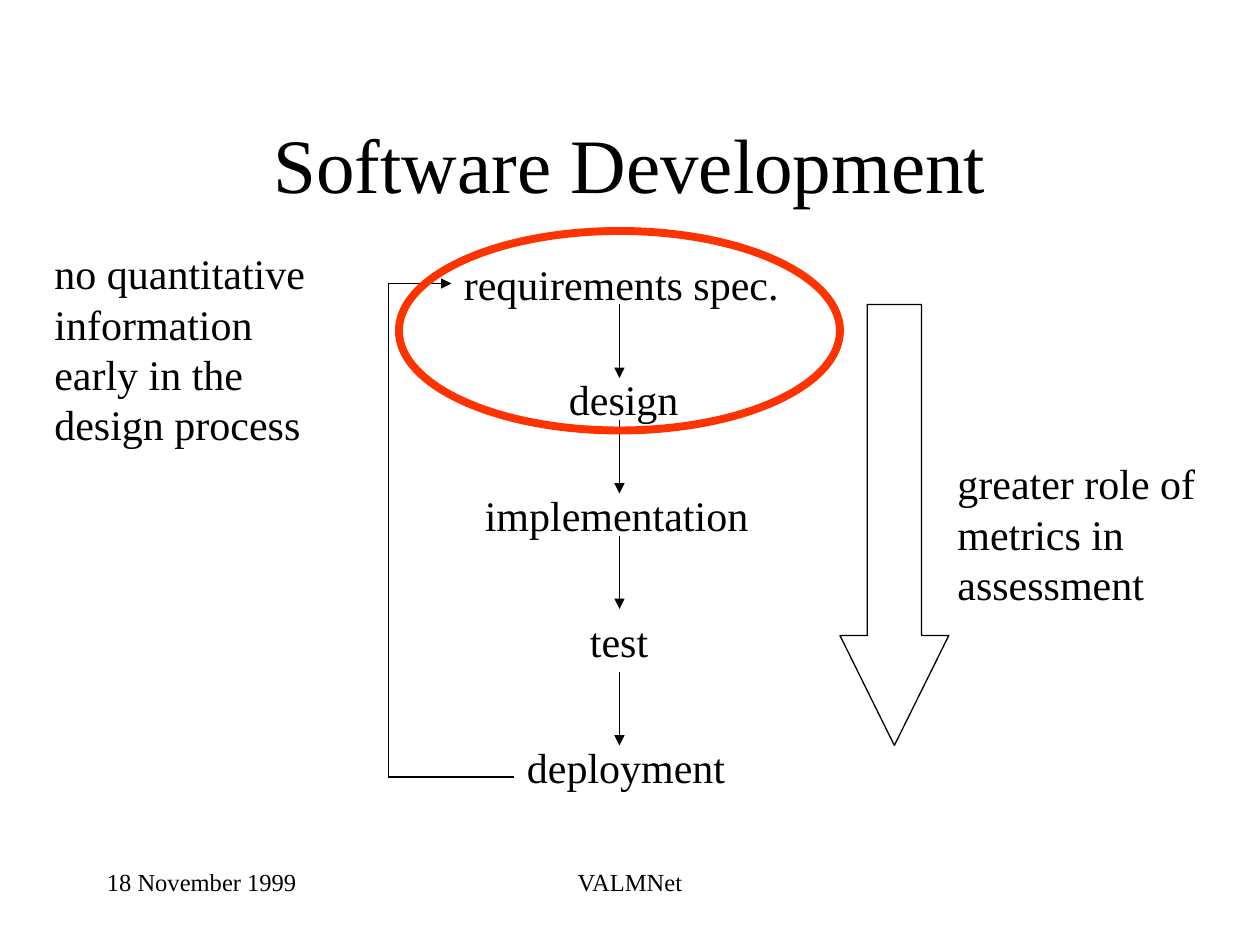
from lxml.etree import SubElement
from pptx import Presentation
from pptx.dml.color import RGBColor
from pptx.enum.shapes import MSO_CONNECTOR as Connector, MSO_SHAPE as Shape
from pptx.enum.text import MSO_ANCHOR as Anchor, PP_ALIGN as Align
from pptx.oxml.ns import qn
from pptx.util import Inches, Pt

# Content; all places are in grid units, twelve to the inch
COLORS = {"ink": "000000", "highlight": "FF3300"}
FONT = "Times New Roman"
TITLE = "Software Development"
TITLE_AREA = (9, 8, 102, 15)

STEPS = [  # text, top, width
    ("requirements spec.", 24, 33),
    ("design", 35, 14),
    ("implementation", 46, 29),
    ("test", 58, 9),
    ("deployment", 70, 22),
]
STEP_LEFTS = [43, 53, 45, 55, 49]
STEP_HEIGHT = 6
NOTES = [  # text, area
    ("no quantitative information early in the design process", (4, 23, 29, 20.4)),
    ("greater role of metrics in assessment", (90, 43, 26, 15.6)),
]
FOOTERS = [  # text, area, alignment
    ("18 November 1999", (9, 82, 25, 6), Align.LEFT),
    ("VALMNet", (41, 82, 38, 6), Align.CENTER),
]
FLOW_X, FLOW_LENGTH = 59, 7
FLOW_TOPS = [29, 40, 51, 64]
LOOP_X, LOOP_TOP, LOOP_BOTTOM = 37, 27, 74
ROLE_ARROW = (80, 29, 10.36, 42)
EARLY_PHASE = (38, 22, 42, 19)


def grid(*units):
    return [Inches(unit / 12) for unit in units]


def color(name):
    return RGBColor.from_string(COLORS[name])


def write(box, text, size, align=Align.LEFT, anchor=Anchor.TOP):
    frame = box.text_frame
    frame.word_wrap = True
    frame.vertical_anchor = anchor
    frame.text = text
    para = frame.paragraphs[0]
    para.alignment = align
    para.font.name, para.font.size = FONT, Pt(size)
    para.font.color.rgb = color("ink")


def add_text(page, area, text, size, align=Align.LEFT):
    write(page.shapes.add_textbox(*grid(*area)), text, size, align)


def add_line(page, start, end, arrow=False):
    line = page.shapes.add_connector(Connector.STRAIGHT, *grid(*start, *end))
    line.line.color.rgb = color("ink")
    line.line.width = Pt(0.75)
    if arrow:
        SubElement(line.line._get_or_add_ln(), qn("a:tailEnd"), type="triangle")
    SubElement(line._element.spPr, qn("a:effectLst"))


def add_outline(page, kind, area, name, width):
    shape = page.shapes.add_shape(kind, *grid(*area))
    shape.shadow.inherit = False
    shape.fill.background()
    shape.line.color.rgb = color(name)
    shape.line.width = Pt(width)
    return shape


def main():
    deck = Presentation()
    deck.slide_width, deck.slide_height = Inches(10), Inches(7.5)
    page = deck.slides.add_slide(deck.slide_layouts[5])

    # Title
    title = page.shapes.title
    title.left, title.top, title.width, title.height = grid(*TITLE_AREA)
    write(title, TITLE, 44, Align.CENTER, Anchor.MIDDLE)

    # Development steps and the arrows between them
    for (text, top, width), left in zip(STEPS, STEP_LEFTS):
        add_text(page, (left, top, width, STEP_HEIGHT), text, 24)
    for top in FLOW_TOPS:
        add_line(page, (FLOW_X, top), (FLOW_X, top + FLOW_LENGTH), arrow=True)

    # Loop from the last step back to the first
    upper, lower = (LOOP_X, LOOP_TOP), (LOOP_X, LOOP_BOTTOM)
    add_line(page, upper, (STEP_LEFTS[0], LOOP_TOP), arrow=True)
    add_line(page, upper, lower)
    add_line(page, (STEP_LEFTS[-1], LOOP_BOTTOM), lower)

    # Growing role of metrics, early phase and their notes
    role = add_outline(page, Shape.DOWN_ARROW, ROLE_ARROW, "ink", 0.75)
    role.adjustments[0], role.adjustments[1] = 0.5, 1.01
    add_outline(page, Shape.OVAL, EARLY_PHASE, "highlight", 4.5)
    for text, area in NOTES:
        add_text(page, area, text, 24)

    # Footer
    for text, area, align in FOOTERS:
        add_text(page, area, text, 14, align)

    deck.save("out.pptx")


if __name__ == "__main__":
    main()
